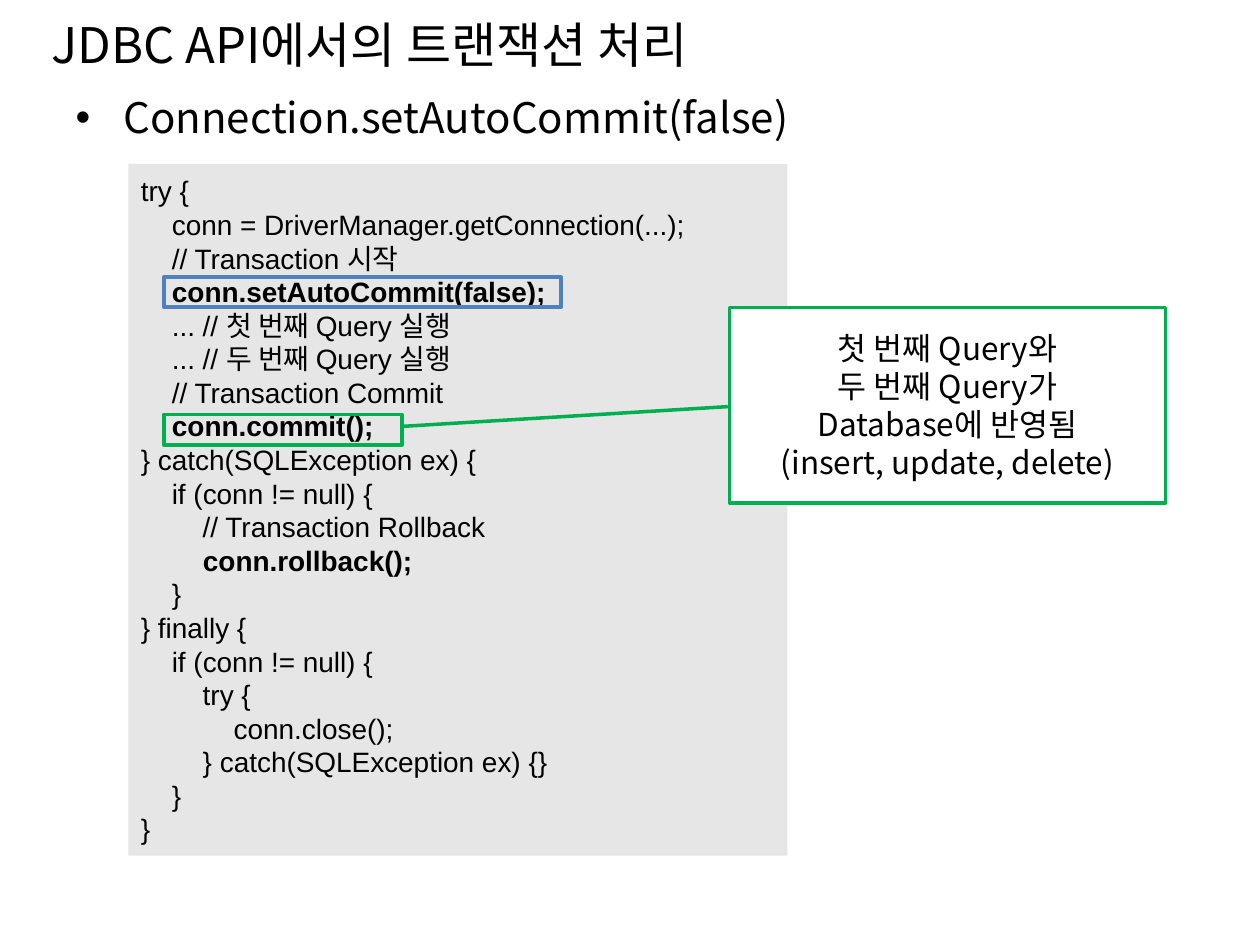
import pptx
import pptx.util
import pptx.dml.color
import pptx.enum.shapes
import pptx.enum.text
from lxml import etree

Inches, Pt = pptx.util.Inches, pptx.util.Pt
SHAPE = pptx.enum.shapes.MSO_SHAPE
ALIGN = pptx.enum.text.PP_ALIGN
MIDDLE = pptx.enum.text.MSO_ANCHOR.MIDDLE

COLORS = {"text": "000000", "code": "E6E6E6", "begin": "4F81BD",
          "commit": "00B050", "note": "FFFFFF"}
HANGUL_FONT, CODE_FONT = "Noto Sans CJK KR", "Arial"

TITLE = "JDBC API에서의 트랜잭션 처리"
TOPIC = "Connection.setAutoCommit(false)"
CODE = [
    "try {",
    "    conn = DriverManager.getConnection(...);",
    "    // Transaction 시작",
    "    conn.setAutoCommit(false);",
    "    ... // 첫 번째 Query 실행",
    "    ... // 두 번째 Query 실행",
    "    // Transaction Commit",
    "    conn.commit();",
    "} catch(SQLException ex) {",
    "    if (conn != null) {",
    "        // Transaction Rollback",
    "        conn.rollback();",
    "    }",
    "} finally {",
    "    if (conn != null) {",
    "        try {",
    "            conn.close();",
    "        } catch(SQLException ex) {}",
    "    }",
    "}",
]
KEY_CALLS = {"conn.setAutoCommit(false);", "conn.commit();", "conn.rollback();"}
NOTE = ["첫 번째 Query와", "두 번째 Query가", "Database에 반영됨", "(insert, update, delete)"]
HIGHLIGHTS = [("begin", 2.2, 3.15), ("commit", 3.29, 1.89)]
CALLOUT_LINE = (0.508, -0.004, 0.609, -0.75)


def rgb(name):
    return pptx.dml.color.RGBColor.from_string(COLORS[name])


def add_run(paragraph, text, size, font=HANGUL_FONT, bold=False):
    run = paragraph.add_run()
    run.text = text
    run.font.size, run.font.name, run.font.bold = Pt(size), font, bold
    run.font.color.rgb = rgb("text")
    east_asian = etree.SubElement(run.font._element, pptx.oxml.ns.qn("a:ea"))
    east_asian.set("typeface", HANGUL_FONT)


def place(shape, left, top, width, height):
    shape.left, shape.top = Inches(left), Inches(top)
    shape.width, shape.height = Inches(width), Inches(height)


def add_box(kind, left, top, width, height, fill=None, line=None, weight=2.25):
    box = slide.shapes.add_shape(kind, *map(Inches, (left, top, width, height)))
    box.shadow.inherit = False
    if fill:
        box.fill.solid()
        box.fill.fore_color.rgb = rgb(fill)
    else:
        box.fill.background()
    if line:
        box.line.color.rgb = rgb(line)
        box.line.width = Pt(weight)
    else:
        box.line.fill.background()
    return box


def add_lines(box, lines, align, spacing):
    frame = box.text_frame
    frame.word_wrap = True
    frame.vertical_anchor = MIDDLE
    for index, line in enumerate(lines):
        paragraph = frame.add_paragraph() if index else frame.paragraphs[0]
        paragraph.alignment = align
        paragraph.line_spacing = Pt(spacing)
        yield paragraph, line


presentation = pptx.Presentation()
presentation.slide_width, presentation.slide_height = Inches(10), Inches(7.5)
slide = presentation.slides.add_slide(presentation.slide_layouts[1])

title = slide.shapes.title
place(title, 0.31, 0.03, 9.45, 0.64)
title.text_frame.vertical_anchor = MIDDLE
title.text_frame.paragraphs[0].alignment = ALIGN.LEFT
add_run(title.text_frame.paragraphs[0], TITLE, 28)

body = slide.placeholders[1]
place(body, 0.5, 0.68, 9, 6.22)
topic = body.text_frame.paragraphs[0]
topic.space_before = Pt(0)
properties = topic._p.get_or_add_pPr()
properties.set("marL", str(Inches(0.38)))
properties.set("indent", str(Inches(-0.38)))
etree.SubElement(properties, pptx.oxml.ns.qn("a:buChar")).set("char", "•")
add_run(topic, TOPIC, 24)

code_panel = add_box(SHAPE.RECTANGLE, 1.02, 1.3, 5.23, 5.49, fill="code")
for paragraph, line in add_lines(code_panel, CODE, ALIGN.LEFT, 19.2):
    statement = line.lstrip()
    if statement in KEY_CALLS:
        add_run(paragraph, line[:-len(statement)], 16, CODE_FONT)
        add_run(paragraph, statement, 16, CODE_FONT, bold=True)
    else:
        add_run(paragraph, line, 16, CODE_FONT)

for color, top, width in HIGHLIGHTS:
    add_box(SHAPE.RECTANGLE, 1.3, top, width, 0.24, line=color)

note = add_box(SHAPE.LINE_CALLOUT_1, 5.79, 2.44, 3.46, 1.55, "note", "commit", 2)
for index, value in enumerate(CALLOUT_LINE):
    note.adjustments[index] = value
for paragraph, line in add_lines(note, NOTE, ALIGN.CENTER, 21.7):
    add_run(paragraph, line, 18)

presentation.save("out.pptx")
